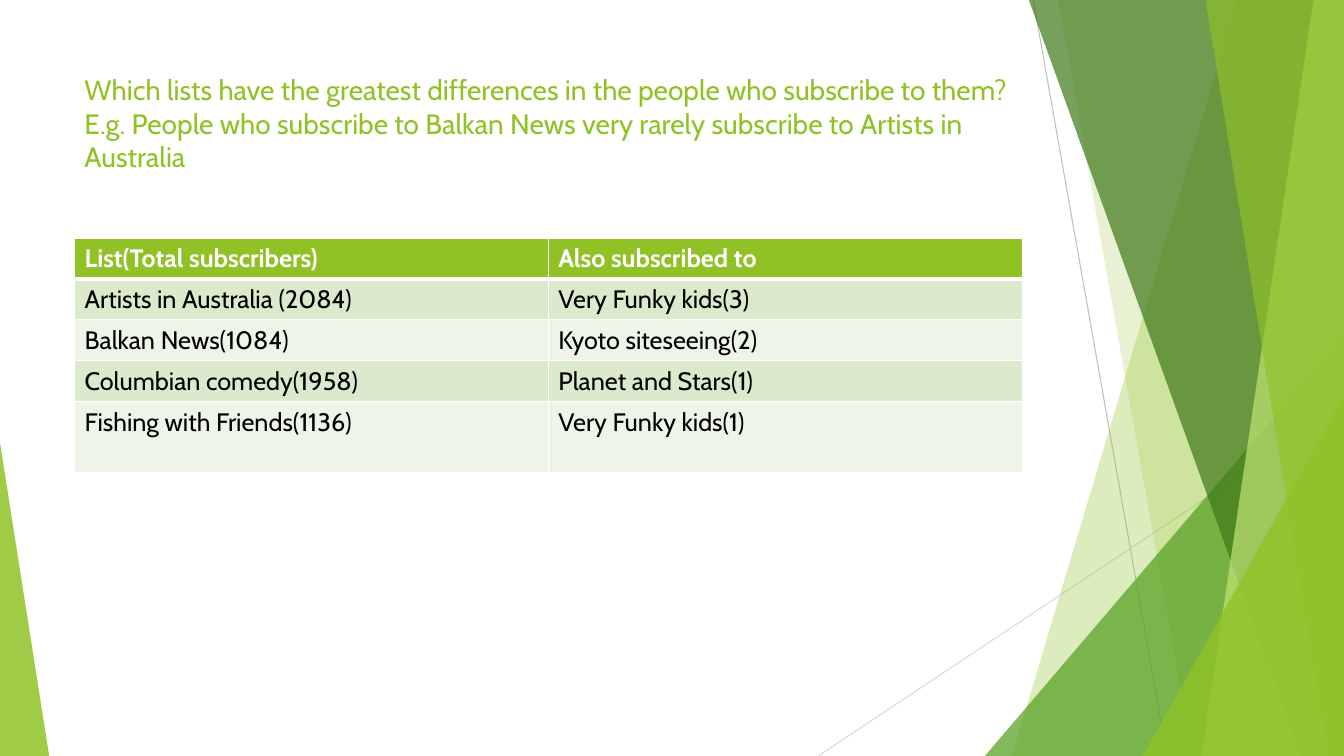
from lxml.etree import SubElement
from pptx import Presentation
from pptx.dml.color import RGBColor
from pptx.enum.shapes import MSO_CONNECTOR, MSO_SHAPE
from pptx.enum.text import MSO_ANCHOR
from pptx.oxml import parse_xml
from pptx.oxml.ns import nsdecls, qn
from pptx.util import Cm, Pt

QUESTION = (
    "Which lists have the greatest differences in the people who subscribe to them? "
    "E.g. People who subscribe to Balkan News very rarely subscribe to Artists in Australia"
)
SUBSCRIPTIONS = [
    ("List(Total subscribers)", "Also subscribed to"),
    ("Artists in Australia (2084)", "Very Funky kids(3)"),
    ("Balkan News(1084)", "Kyoto siteseeing(2)"),
    ("Columbian comedy(1958)", "Planet and Stars(1)"),
    ("Fishing with Friends(1136)", "Very Funky kids(1)"),
]

THEME = {
    "font": "Cabin", "title_size": 20, "table_size": 18,
    "lime": "90C226", "green": "54A021", "forest": "3F7819", "pale": "C0E474",
    "white": "FFFFFF", "black": "000000",
    "bands": ("DBE9CD", "EEF4E8"),
    "grey": "BFBFBF", "light_grey": "D9D9D9",
}

# All lengths are centimetres.
WIDTH, HEIGHT = 33.87, 19.05
LEFT, CONTENT_WIDTH = 1.88, 23.88
TITLE_TOP, TITLE_HEIGHT = 1.7, 3.66
TABLE_TOP, ROW_HEIGHT, LAST_ROW_HEIGHT = 6.0, 1.03, 1.78

# x1, y1, x2, y2, colour
RAYS = [
    (26.04, 0, 29.41, HEIGHT, "grey"),
    (WIDTH, 10.24, 20.62, HEIGHT, "light_grey"),
]
# Bands reach the right edge: ("band", top x, bottom x, colour, opacity %)
# Peaks stand on the bottom edge: ("peak", left, top, width, apex, colour, opacity %)
FACETS = [
    ("band", 31.19, 25.5, "lime", 30),
    ("band", 26.67, 30.05, "lime", 20),
    ("peak", 24.82, 8.46, WIDTH - 24.82, 1, "green", 72),
    ("band", 25.93, 32.79, "forest", 70),
    ("band", 33.1, 30.28, "pale", 70),
    ("band", 30.38, 33.48, "lime", 65),
    ("peak", 28.8, 9.98, WIDTH - 28.8, 1, "lime", 80),
    ("peak", 0, 11.15, 1.24, 0, "lime", 85),
]


def rgb(name):
    return RGBColor.from_string(THEME.get(name, name))


def style_font(font, size, color, bold=False):
    style = {"name": THEME["font"], "size": Pt(size), "bold": bold}
    for attribute, value in style.items():
        setattr(font, attribute, value)
    font.color.rgb = rgb(color)


def add_ray(slide, x1, y1, x2, y2, color):
    ray = slide.shapes.add_connector(
        MSO_CONNECTOR.STRAIGHT, Cm(x1), Cm(y1), Cm(x2), Cm(y2))
    ray.line.color.rgb = rgb(color)
    ray.line.width = Pt(0.75)
    SubElement(ray._element.spPr, qn("a:effectLst"))


def add_band(slide, top_x, bottom_x):
    corners = [(top_x, 0), (WIDTH, 0), (WIDTH, HEIGHT), (bottom_x, HEIGHT)]
    start, *others = [(Cm(x), Cm(y)) for x, y in corners]
    outline = slide.shapes.build_freeform(*start)
    outline.add_line_segments(others, close=True)
    return outline.convert_to_shape()


def add_peak(slide, left, top, width, apex):
    peak = slide.shapes.add_shape(
        MSO_SHAPE.ISOSCELES_TRIANGLE, Cm(left), Cm(top), Cm(width), Cm(HEIGHT - top))
    peak.adjustments[0] = apex
    return peak


def add_facet(slide, kind, *geometry, color, opacity):
    facet = {"band": add_band, "peak": add_peak}[kind](slide, *geometry)
    facet.shadow.inherit = False
    facet.line.fill.background()
    facet.fill.solid()
    facet.fill.fore_color.rgb = rgb(color)
    tint = facet._element.spPr.find(qn("a:solidFill"))[0]
    SubElement(tint, qn("a:alpha"), val=str(opacity * 1000))


def add_question(slide):
    box = slide.shapes.add_textbox(
        Cm(LEFT), Cm(TITLE_TOP), Cm(CONTENT_WIDTH), Cm(TITLE_HEIGHT))
    frame = box.text_frame
    frame.word_wrap = True
    frame.vertical_anchor = MSO_ANCHOR.TOP
    run = frame.paragraphs[0].add_run()
    run.text = QUESTION
    style_font(run.font, THEME["title_size"], "lime")


def set_borders(cell, top, bottom):
    """Draw white cell borders; top and bottom are widths in points."""
    properties = cell._tc.get_or_add_tcPr()
    sides = {"lnL": 1, "lnR": 1, "lnT": top, "lnB": bottom}
    for position, (side, width) in enumerate(sides.items()):
        properties.insert(position, parse_xml(
            f'<a:{side} {nsdecls("a")} w="{Pt(width)}"><a:solidFill>'
            f'<a:srgbClr val="{THEME["white"]}"/></a:solidFill></a:{side}>'))


def add_subscriptions(slide):
    rows, columns = len(SUBSCRIPTIONS), len(SUBSCRIPTIONS[0])
    height = ROW_HEIGHT * (rows - 1) + LAST_ROW_HEIGHT
    table = slide.shapes.add_table(
        rows, columns, Cm(LEFT), Cm(TABLE_TOP), Cm(CONTENT_WIDTH), Cm(height)).table
    for r, entries in enumerate(SUBSCRIPTIONS):
        header = r == 0
        table.rows[r].height = Cm(LAST_ROW_HEIGHT if r == rows - 1 else ROW_HEIGHT)
        for c, entry in enumerate(entries):
            cell = table.cell(r, c)
            cell.fill.solid()
            cell.fill.fore_color.rgb = rgb("lime" if header else THEME["bands"][(r - 1) % 2])
            set_borders(cell, top=3 if r == 1 else 1, bottom=3 if header else 1)
            run = cell.text_frame.paragraphs[0].add_run()
            run.text = entry
            style_font(run.font, THEME["table_size"], "white" if header else "black", header)


def main():
    deck = Presentation()
    deck.slide_width, deck.slide_height = Cm(WIDTH), Cm(HEIGHT)
    slide = deck.slides.add_slide(deck.slide_layouts[6])
    for ray in RAYS:
        add_ray(slide, *ray)
    for *outline, color, opacity in FACETS:
        add_facet(slide, *outline, color=color, opacity=opacity)
    add_question(slide)
    add_subscriptions(slide)
    deck.save("out.pptx")


if __name__ == "__main__":
    main()
